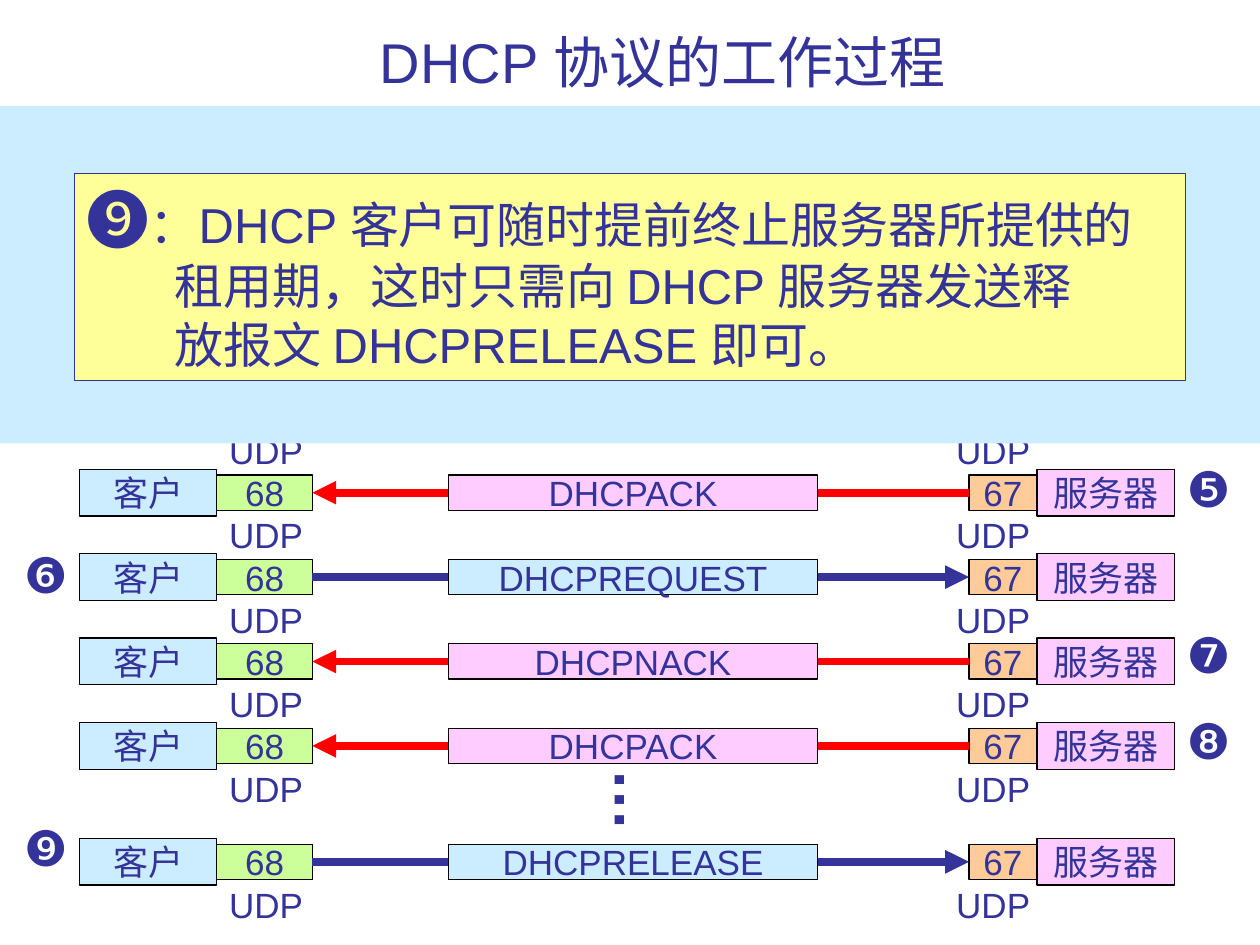
from pptx import Presentation
from pptx.dml.color import RGBColor
from pptx.enum.shapes import MSO_CONNECTOR, MSO_SHAPE
from pptx.enum.text import MSO_ANCHOR, MSO_AUTO_SIZE, PP_ALIGN
from pptx.oxml.ns import qn
from pptx.util import Inches, Pt
from lxml.etree import SubElement

COLORS = {
    "ink": "333399", "black": "000000", "red": "FF0000", "blue": "CCECFF",
    "pink": "FFCCFF", "green": "CCFF99", "orange": "FFCC99", "yellow": "FFFF99",
}


def write(sp, text, size=20, bold=None, align=PP_ALIGN.LEFT, anchor=MSO_ANCHOR.TOP,
          wrap=False, p=None):
    """Add a formatted run to paragraph p, by default the first one of the shape."""
    tf = sp.text_frame
    tf.auto_size = MSO_AUTO_SIZE.NONE
    tf.word_wrap = wrap
    tf.vertical_anchor = anchor
    p = p or tf.paragraphs[0]
    p.alignment = align
    r = p.add_run()
    r.text = text
    r.font.name = "Arial"
    r.font.size = Pt(size)
    r.font.bold = bold
    r.font.color.rgb = RGBColor.from_string(COLORS["ink"])


def add_box(x, y, w, h, fill, line=None):
    sp = slide.shapes.add_shape(MSO_SHAPE.RECTANGLE, Inches(x), Inches(y), Inches(w), Inches(h))
    sp.shadow.inherit = False
    sp.fill.solid()
    sp.fill.fore_color.rgb = RGBColor.from_string(COLORS[fill])
    if line:
        sp.line.color.rgb = RGBColor.from_string(COLORS[line])
        sp.line.width = Pt(0.75)
    else:
        sp.line.fill.background()
    return sp


prs = Presentation()
prs.slide_width, prs.slide_height = Inches(10), Inches(7.5)
slide = prs.slides.add_slide(prs.slide_layouts[5])

title = slide.shapes.title
title.left, title.top, title.width, title.height = (Inches(v) for v in (1.0, 0.21, 8.52, 0.59))
write(title, "DHCP 协议的工作过程", size=32, align=PP_ALIGN.CENTER,
      anchor=MSO_ANCHOR.BOTTOM, wrap=True)

# Columns as (left, width); each row is centred on its message line
CLIENT, CLIENT_PORT, MESSAGE = (0.63, 1.09), (1.72, 0.76), (3.56, 2.93)
SERVER_PORT, SERVER = (7.69, 0.54), (8.23, 1.09)
UDP_LEFTS = (1.72, 7.49)
FIRST_Y, PITCH, LAST_Y = 3.91, 0.67, 6.84
HOST_H, PORT_H = 0.37, 0.28

# Message, sent by the client, step number, top of the number relative to the row
messages = [
    ("DHCPACK", False, "❺", -0.32),
    ("DHCPREQUEST", True, "❻", -0.31),
    ("DHCPNACK", False, "❼", -0.34),
    ("DHCPACK", False, "❽", -0.33),
    ("DHCPRELEASE", True, "❾", -0.40),
]
row_ys = [FIRST_Y + i * PITCH for i in range(len(messages) - 1)] + [LAST_Y]

for y in [FIRST_Y - PITCH] + row_ys:
    for x in UDP_LEFTS:
        udp = slide.shapes.add_textbox(Inches(x), Inches(y + 0.12), Inches(0.79), Inches(0.44))
        write(udp, "UDP")

for y, (message, from_client, step, step_dy) in zip(row_ys, messages):
    cells = []
    for (x, w), h, fill, text in (
        (CLIENT, HOST_H, "blue", "客户"),
        (SERVER, HOST_H, "pink", "服务器"),
        (SERVER_PORT, PORT_H, "orange", "67"),
        (CLIENT_PORT, PORT_H, "green", "68"),
        (MESSAGE, PORT_H, "blue" if from_client else "pink", message),
    ):
        sp = add_box(x, y - h / 2, w, h, fill, "black")
        write(sp, text, align=PP_ALIGN.CENTER, anchor=MSO_ANCHOR.MIDDLE)
        cells.append(sp)
    server_port, client_port, label = cells[2:]

    ends = [(client_port, 3), (server_port, 1)]
    start, end = ends if from_client else reversed(ends)
    arrow = slide.shapes.add_connector(MSO_CONNECTOR.STRAIGHT, 0, 0, 0, 0)
    arrow.begin_connect(*start)
    arrow.end_connect(*end)
    arrow.line.width = Pt(4.5)
    arrow.line.color.rgb = RGBColor.from_string(COLORS["ink" if from_client else "red"])
    SubElement(arrow.line._get_or_add_ln(), qn("a:tailEnd"), type="triangle")
    SubElement(arrow._element.spPr, qn("a:effectLst"))
    label._element.addprevious(arrow._element)  # the line runs behind its label

    x = 0.09 if from_client else 9.32
    number = slide.shapes.add_textbox(Inches(x), Inches(y + step_dy), Inches(0.55), Inches(0.57))
    write(number, step, size=28)

dots = slide.shapes.add_textbox(Inches(4.41), Inches(6), Inches(0.7), Inches(0.7))
dots.rotation = 270
write(dots, "…", size=36, bold=True)

add_box(0, 0.84, 10, 2.68, "blue")
note = add_box(0.59, 1.38, 8.82, 1.64, "yellow", "ink")
write(note, "❾", size=36, align=PP_ALIGN.JUSTIFY, wrap=True)
write(note, "：DHCP 客户可随时提前终止服务器所提供的", size=28, align=PP_ALIGN.JUSTIFY,
      wrap=True, p=note.text_frame.paragraphs[0])
for text in ("租用期，这时只需向 DHCP 服务器发送释", "放报文 DHCPRELEASE 即可。"):
    p = note.text_frame.add_paragraph()
    p._p.get_or_add_pPr().set("marL", str(Inches(0.7)))
    write(note, text, size=28, align=PP_ALIGN.JUSTIFY, wrap=True, p=p)

prs.save("out.pptx")
